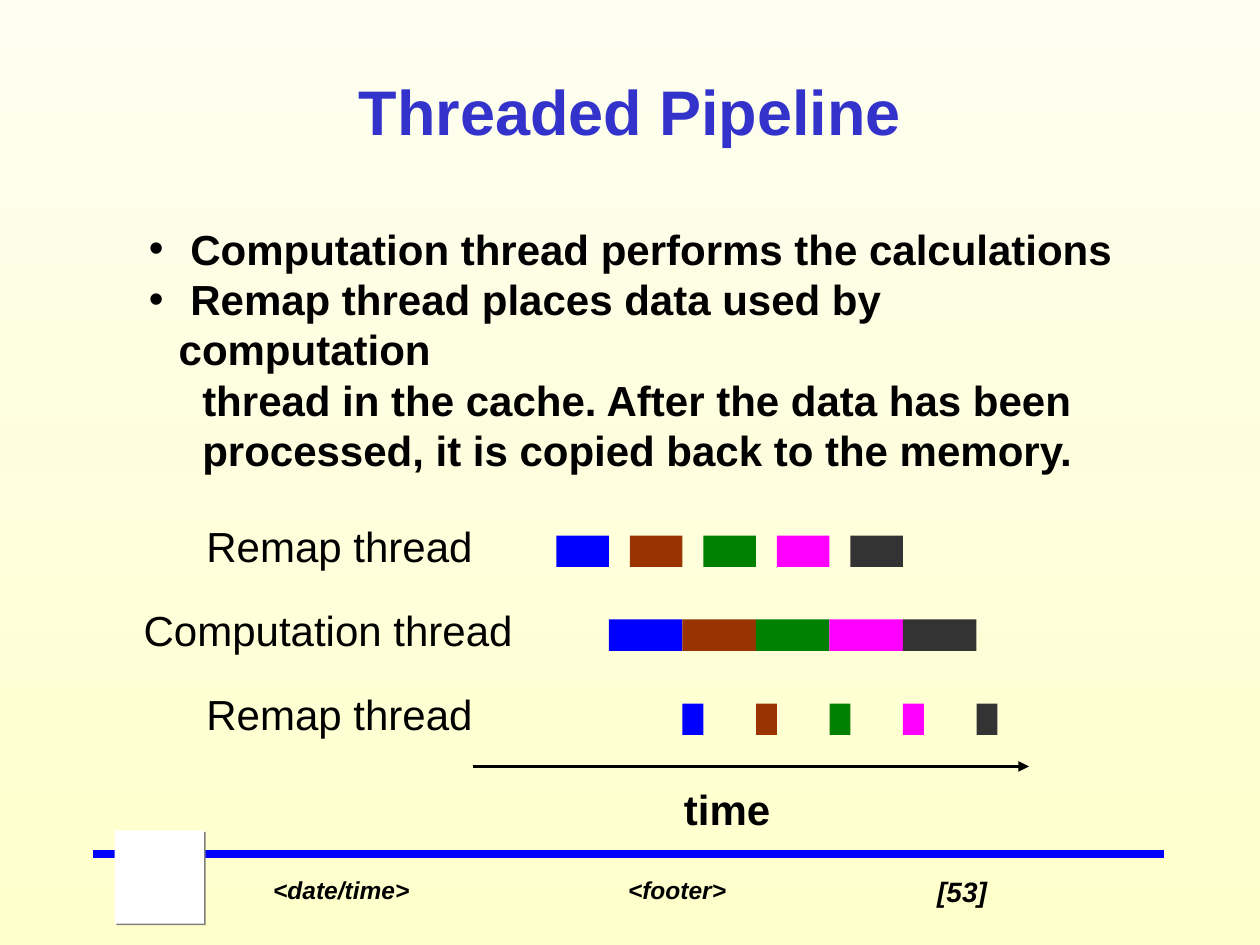
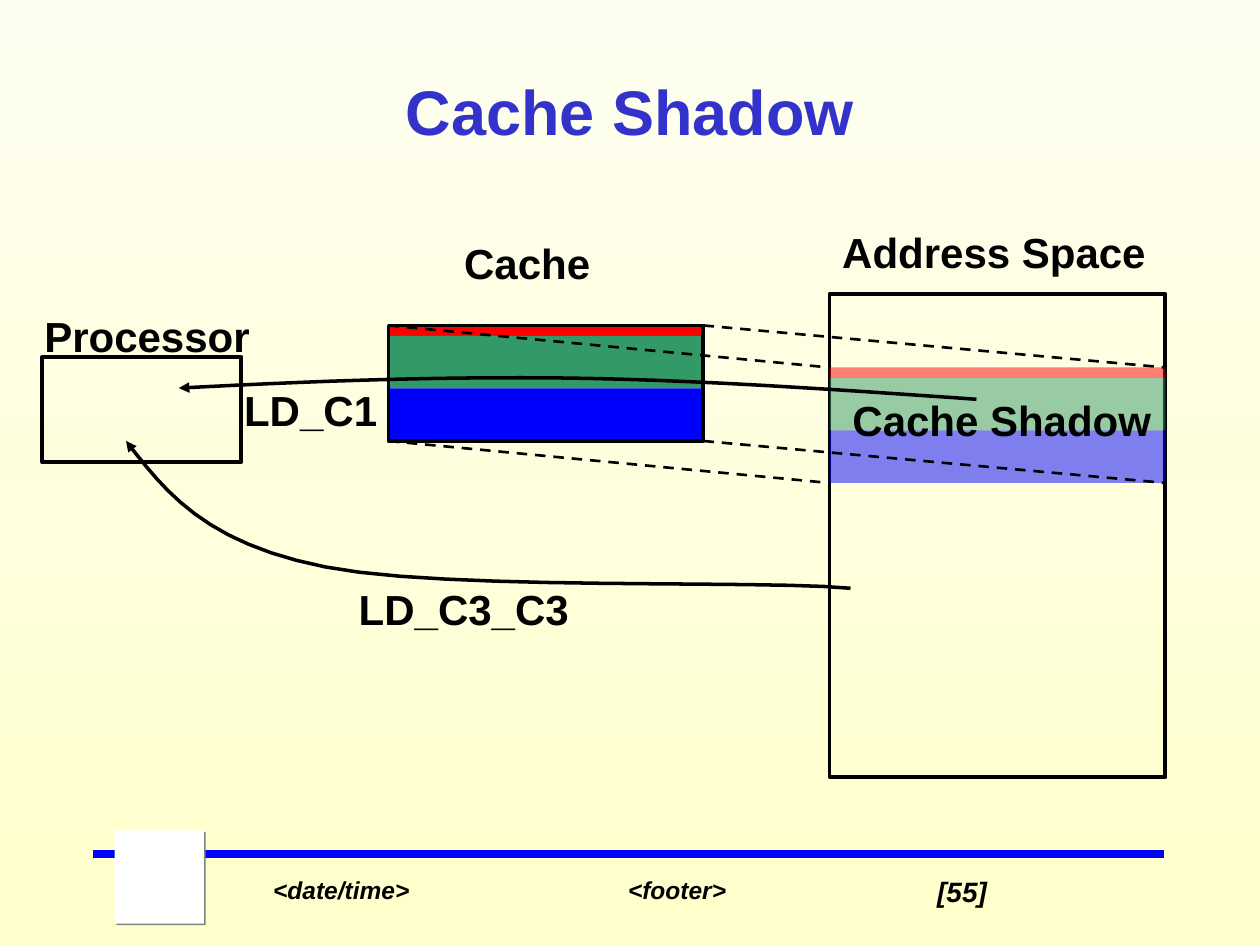
from lxml import etree
from pptx import Presentation
from pptx.dml.color import RGBColor
from pptx.enum.dml import MSO_LINE
from pptx.enum.shapes import MSO_CONNECTOR, MSO_SHAPE
from pptx.enum.text import MSO_ANCHOR, PP_ALIGN
from pptx.oxml.ns import qn
from pptx.util import Pt

RECT, STRAIGHT = MSO_SHAPE.RECTANGLE, MSO_CONNECTOR.STRAIGHT
DASH = MSO_LINE.DASH
LEFT, MID, RIGHT = PP_ALIGN.LEFT, PP_ALIGN.CENTER, PP_ALIGN.RIGHT
TOP, CENTER = MSO_ANCHOR.TOP, MSO_ANCHOR.MIDDLE

BLACK, WHITE, GREY, BLUE, TITLE = "000000", "FFFFFF", "808080", "0000FF", "3333CC"
PAGE = ("FEFEF0", "FFFFCC")

HEAD = {"size": Pt(36), "bold": True}
BOLD = {"size": Pt(24), "bold": True}
PLAIN = {"size": Pt(24), "bold": False}
FOOT = {"size": Pt(14), "bold": True, "italic": True}
COUNT = {"size": Pt(16), "bold": True, "italic": True}

# Text, bulleted, left margin
POINTS = [
    (" Computation thread performs the calculations", True, 17),
    (" Remap thread places data used by computation", True, 17),
    ("thread in the cache. After the data has been\v"
     "processed, it is copied back to the memory.", False, 30.5),
]
LEAD = 28.8

JOBS = [BLUE, "993300", "008000", "FF00FF", "333333"]
STEP, BAR = 42, 18
# Name, label box, first bar's left, top and width
LANES = [
    ("Remap thread", (111, 294, 166, 36), 318, 306, 30),
    ("Computation thread", (75, 342, 225, 36), 348, 354, 42),
    ("Remap thread", (111, 390, 166, 36), 390, 402, 12),
]

LAYERS = [("FF0000", 6), ("339966", 30), (BLUE, 30)]
DEPTH = sum(high for _, high in LAYERS)
CACHE = (222, 186, 180)
SHADE = (474, 210, 192)
SPACE = (474, 168, 192, 276)
CHIP = (24, 204, 114, 60)
NAMES = [
    ("Cache", (258, 132, 86.4, 36)),
    ("Address Space", (474, 126, 188, 36)),
    ("Processor", (18, 174, 132, 36)),
    ("LD_C3_C3", (198, 330, 134, 36)),
    ("Cache Shadow", (480, 222, 185, 36)),
    ("LD_C1", (132.5, 216, 90, 36)),
]
# Each load: start point, then cubic pieces as two handles and an end point
LOADS = [
    ((486, 336.2), [((434.9, 331.2), (254.9, 337.7), (185.8, 324)),
                    ((116.6, 310.3), (94.3, 280.8), (72, 252))]),
    ((558, 228.2), [((475.9, 222.5), (393.1, 216.7), (317.5, 216)),
                    ((241.2, 215.3), (171.4, 218.2), (102.2, 221.8))]),
]


def color(code):
    return RGBColor.from_string(code)


def add(parent, tag, **attrs):
    return etree.SubElement(parent, qn(tag), attrs)


def box(slide, area, fill=None, line=None, width=2.25, alpha=None):
    shape = slide.shapes.add_shape(RECT, *map(Pt, area))
    shape.shadow.inherit = False
    if fill:
        shape.fill.solid()
        shape.fill.fore_color.rgb = color(fill)
        if alpha:
            tone = shape.fill._xPr.find(".//" + qn("a:srgbClr"))
            add(tone, "a:alpha", val=str(alpha * 1000))
    else:
        shape.fill.background()
    if line:
        shape.line.color.rgb = color(line)
        shape.line.width = Pt(width)
    else:
        shape.line.fill.background()
    return shape


def style(para, form, tint):
    for key, value in {"name": "Arial", **form}.items():
        setattr(para.font, key, value)
    para.font.color.rgb = color(tint)


def frame(slide, area, anchor, wrap):
    text = slide.shapes.add_textbox(*map(Pt, area)).text_frame
    text.word_wrap = wrap
    text.vertical_anchor = anchor
    return text


def label(slide, words, area, form, tint=BLACK, align=MID, anchor=CENTER):
    text = frame(slide, area, anchor, False)
    if align == MID:
        text.margin_left = text.margin_right = 0
    para = text.paragraphs[0]
    para.text = words
    para.alignment = align
    style(para, form, tint)


def stroke(shape, tint, width, dash=None, arrow=False):
    shape.line.color.rgb = color(tint)
    shape.line.width = Pt(width)
    if dash:
        shape.line.dash_style = dash
    if arrow:
        add(shape.line._get_or_add_ln(), "a:tailEnd", type="triangle")


def link(slide, start, end, tint, width, **form):
    """Draw a straight line, with an arrowhead at its end on request."""
    line = slide.shapes.add_connector(STRAIGHT, *map(Pt, (*start, *end)))
    stroke(line, tint, width, **form)
    add(line._element.spPr, "a:effectLst")


def bend(start, pieces, parts=12):
    """List points along joined cubic curves."""
    dots = [start]
    for one, two, end in pieces:
        first = dots[-1]
        for i in range(1, parts + 1):
            t = i / parts
            u = 1 - t
            dots.append(tuple(
                u**3 * a + 3 * u * u * t * b + 3 * u * t * t * c + t**3 * d
                for a, b, c, d in zip(first, one, two, end)))
    return dots


def curve(slide, start, pieces):
    dots = [tuple(map(Pt, dot)) for dot in bend(start, pieces)]
    pen = slide.shapes.build_freeform(*dots[0])
    pen.add_line_segments(dots[1:], close=False)
    shape = pen.convert_to_shape()
    shape.shadow.inherit = False
    shape.fill.background()
    stroke(shape, BLACK, 2, arrow=True)


def stack(slide, area, alpha=None):
    left, top, wide = area
    for tint, high in LAYERS:
        box(slide, (left, top, wide, high), tint, alpha=alpha)
        top += high


def bullets(slide):
    text = frame(slide, (78, 124, 574, 151), CENTER, True)
    for i, (words, dot, left) in enumerate(POINTS):
        para = text.add_paragraph() if i else text.paragraphs[0]
        para.text = words
        para.line_spacing = Pt(LEAD)
        props = para._p.get_or_add_pPr()
        props.set("marL", str(Pt(left)))
        if dot:
            props.set("indent", str(-Pt(left)))
            add(props, "a:buFont", typeface="Arial")
            add(props, "a:buChar", char="•")
        style(para, BOLD, BLACK)


def start(deck, title, page):
    """Add a slide with the shared footer band and its title."""
    slide = deck.slides.add_slide(deck.slide_layouts[6])
    for words, area, form, align in [
        ("<footer>", (300, 496.5, 174, 21), FOOT, MID),
        ("<date/time>", (149, 496.5, 150, 21), FOOT, LEFT),
        (f"[{page}]", (481, 496, 90, 21), COUNT, RIGHT),
    ]:
        label(slide, words, area, form, align=align, anchor=TOP)
    link(slide, (53.3, 488), (665.3, 488), BLUE, 4.5)
    badge = box(slide, (65.5, 474.5, 51, 53.3), WHITE)
    glow = add(badge._element.spPr.find(qn("a:effectLst")), "a:outerShdw",
               dist=str(Pt(1.4)), dir="2700000", algn="ctr", rotWithShape="0")
    add(glow, "a:srgbClr", val=GREY)
    label(slide, title, (54, 30, 612, 66), HEAD, TITLE)
    return slide


def pipeline(deck):
    slide = start(deck, "Threaded Pipeline", 53)
    bullets(slide)
    for name, area, left, top, wide in LANES:
        label(slide, name, area, PLAIN)
        for i, tint in enumerate(JOBS):
            box(slide, (left + i * STEP, top, wide, BAR), tint)
    link(slide, (270, 438), (588, 438), BLACK, 2, arrow=True)
    label(slide, "time", (384, 444, 63, 36), BOLD)


def shadow(deck):
    slide = start(deck, "Cache Shadow", 55)
    stack(slide, CACHE)
    for area in (SPACE, CHIP):
        box(slide, area, line=BLACK)
    stack(slide, SHADE, 50)
    (left, top, wide), (far, low, span) = CACHE, SHADE
    for x, end in ((left + wide, far + span), (left, far)):
        for drop in (0, DEPTH):
            link(slide, (x, top + drop), (end, low + drop), BLACK, 1.5, dash=DASH)
    for load in LOADS:
        curve(slide, *load)
    for name, area in NAMES:
        label(slide, name, area, BOLD)
    box(slide, (*CACHE, DEPTH), line=BLACK)


def main():
    deck = Presentation()
    deck.slide_width, deck.slide_height = Pt(720), Pt(540)
    back = deck.slide_master.background.fill
    back.gradient()
    back.gradient_angle = 270
    for stop, tint in zip(back.gradient_stops, PAGE):
        stop.color.rgb = color(tint)
    pipeline(deck)
    shadow(deck)
    deck.save("out.pptx")


if __name__ == "__main__":
    main()
